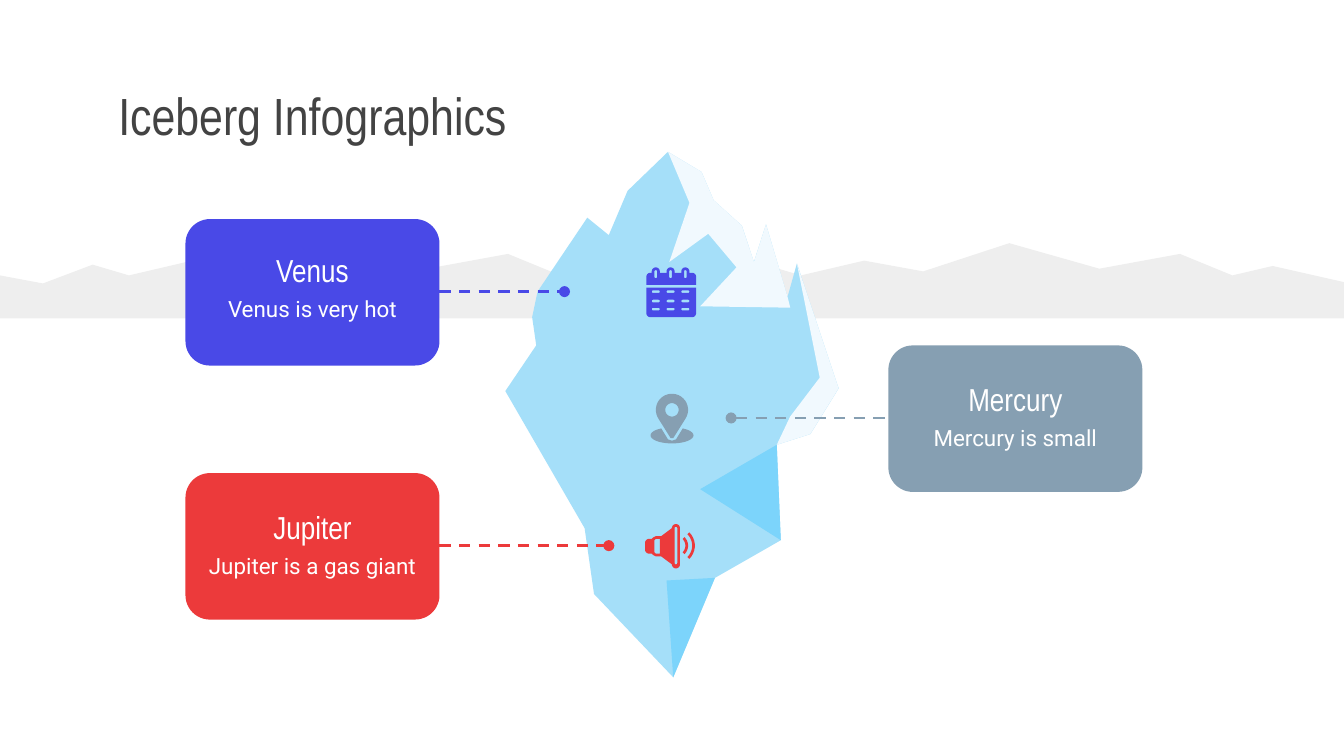
from dataclasses import dataclass
from math import cos, radians, sin

from lxml import etree
from pptx import Presentation
from pptx import util as u
from pptx.dml.color import RGBColor
from pptx.enum import dml, shapes, text
from pptx.oxml.ns import qn

PX = 9144  # EMU per px, 100 px to the inch


@dataclass(frozen=True)
class Theme:
    title: str = "434343"
    light: str = "FFFFFF"
    mountain: str = "EEEEEE"
    ice: str = "A5DFF9"
    snow: str = "F1F9FE"
    facet: str = "7CD4FB"
    venus: str = "4949E7"
    mercury: str = "869FB2"
    jupiter: str = "EC3A3B"
    heading_font: str = "Arial Narrow"
    body_font: str = "Roboto"
    title_size: int = 28
    heading_size: int = 17
    body_size: int = 12
    line_width: float = 1.5


@dataclass(frozen=True)
class Box:
    left: int
    top: int
    width: int
    height: int

    def inner(self, left, top, width, height):
        return Box(self.left + left, self.top + top, width, height)

    def emu(self):
        return [u.Emu(value * PX) for value in (self.left, self.top, self.width, self.height)]


THEME = Theme()


def write_text(shape, words, *, font, size, color, align):
    frame = shape.text_frame
    frame.word_wrap = True
    frame.auto_size = text.MSO_AUTO_SIZE.NONE
    frame.vertical_anchor = text.MSO_ANCHOR.MIDDLE
    frame.margin_left = frame.margin_right = u.Inches(0.1)
    frame.margin_top = frame.margin_bottom = u.Inches(0.1)
    paragraph = frame.paragraphs[0]
    paragraph.alignment = align
    run = paragraph.add_run()
    run.text = words
    run.font.name = font
    run.font.size = u.Pt(size)
    run.font.color.rgb = RGBColor.from_string(color)


def fill_shape(shape, color):
    shape.shadow.inherit = False
    shape.fill.solid()
    shape.fill.fore_color.rgb = RGBColor.from_string(color)
    shape.line.fill.background()


def draw_outline(parent, box, color, *contours):
    """Fill closed contours given relative to box; inner contours become holes."""
    placed = [
        [(round((box.left + x) * PX), round((box.top + y) * PX)) for x, y in contour]
        for contour in contours
    ]
    builder = parent.build_freeform(*placed[0][0], scale=1.0)
    builder.add_line_segments(placed[0][1:], close=True)
    for contour in placed[1:]:
        builder.move_to(*contour[0])
        builder.add_line_segments(contour[1:], close=True)
    fill_shape(builder.convert_to_shape(), color)


def arc(center_x, center_y, radius_x, radius_y, start, end):
    """Points of an arc; degrees run clockwise from the right."""
    steps = max(4, abs(end - start) // 10)
    angles = [radians(start + (end - start) * step / steps) for step in range(steps + 1)]
    return [(center_x + radius_x * cos(a), center_y + radius_y * sin(a)) for a in angles]


def pill(left, top, right, bottom, radius=1):
    corners = [(left + radius, top + radius, 180), (right - radius, top + radius, 270),
               (right - radius, bottom - radius, 0), (left + radius, bottom - radius, 90)]
    return [point for x, y, start in corners
            for point in arc(x, y, radius, radius, start, start + 90)]


def add_title(slide, box, words):
    title = slide.shapes.title
    title.left, title.top, title.width, title.height = box.emu()
    write_text(title, words, font=THEME.heading_font, size=THEME.title_size,
               color=THEME.title, align=text.PP_ALIGN.LEFT)


def add_mountains(slide, box):
    peaks = [(32, 30), (69, 16), (96, 24), (143, 13), (187, 21), (251, 0),
             (318, 19), (378, 8), (417, 24), (447, 17)]
    half = box.width // 2
    skyline = [(0, 24)] + peaks + [(x + half, y) for x, y in peaks] + [(box.width, 29)]
    draw_outline(slide.shapes, box, THEME.mountain,
                 skyline + [(box.width, box.height), (0, box.height)])


def add_iceberg(slide, box):
    parts = slide.shapes.add_group_shape().shapes
    ridge = [(210, 108), (194, 54), (185, 82), (176, 55), (155, 36), (146, 15), (121, 0)]
    body = [(91, 29), (77, 62), (61, 49), (24, 104), (20, 123), (23, 144), (0, 178),
            (59, 280), (66, 329), (125, 391), (156, 317), (205, 289), (202, 218),
            (227, 210), (248, 176), (217, 83)]
    cap = [(137, 38), (122, 82), (151, 61), (172, 86), (145, 115), (212, 116)]
    draw_outline(parts, box, THEME.ice, ridge + body)
    draw_outline(parts, box, THEME.snow, ridge + cap)
    draw_outline(parts, box, THEME.facet, [(156, 317), (120, 319), (125, 391)])
    draw_outline(parts, box, THEME.facet, [(202, 218), (145, 251), (205, 289)])
    draw_outline(parts, box, THEME.snow, [(217, 83), (234, 168), (212, 197), (202, 218),
                                          (227, 210), (248, 176)])


def add_pin_icon(slide, box, color):
    parts = slide.shapes.add_group_shape().shapes
    head = arc(16, 12, 12, 12, 145, 395) + [(17, 33), (15, 33)]
    draw_outline(parts, box, color, head, arc(16, 12, 5, 5, 0, 360))
    base = arc(16, 31, 16, 6, 240, -60) + [(19, 34), (16, 35), (13, 34)]
    draw_outline(parts, box, color, base)


def add_megaphone_icon(slide, box, color):
    parts = slide.shapes.add_group_shape().shapes
    for inner, outer in ((12, 14), (7, 9)):
        wave = arc(23, 16, outer, outer, -45, 45) + arc(23, 16, inner, inner, 45, -45)
        draw_outline(parts, box, color, wave)
    horn = (arc(23, 3, 3, 3, 180, 360) + arc(23, 30, 3, 3, 0, 180)
            + [(12, 24), (8, 24), (6, 23), (5, 22)] + arc(3, 19, 3, 3, 90, 180)
            + arc(3, 14, 3, 3, 180, 270) + [(5, 11), (6, 10), (8, 9), (12, 9)])
    handle = [(11, 11), (11, 22), (8, 22), (7, 21), (7, 12), (8, 11)]
    draw_outline(parts, box, color, horn, handle, pill(22, 2, 24, 30))


def add_calendar_icon(slide, box, color):
    parts = slide.shapes.add_group_shape().shapes
    columns = (4, 15, 26)
    page = [(0, 15), (37, 15)] + arc(34, 34, 3, 3, 0, 90) + arc(3, 34, 3, 3, 90, 180)
    days = [pill(x, y, x + 6, y + 2) for y in (17, 24, 30) for x in columns]
    draw_outline(parts, box, color, page, *days)
    header = [(0, 13)] + arc(3, 7, 3, 3, 180, 270)
    for x in columns:
        header += [(x, 4)] + arc(x + 3, 3, 3, 3, 180, 360) + [(x + 6, 4)]
    header += arc(34, 7, 3, 3, 270, 360) + [(37, 13)]
    draw_outline(parts, box, color, header, *[pill(x + 2, 2, x + 4, 8) for x in columns])


def add_pointer(parts, edge, dot, y, color):
    """Dashed line between a card edge and the dot that ends it."""
    start, end = sorted((edge, dot))
    line = parts.add_connector(shapes.MSO_CONNECTOR.STRAIGHT,
                               *[u.Emu(value * PX) for value in (start, y, end, y)])
    line.line.color.rgb = RGBColor.from_string(color)
    line.line.width = u.Pt(THEME.line_width)
    line.line.dash_style = dml.MSO_LINE.DASH
    marker = "a:headEnd" if dot == start else "a:tailEnd"
    etree.SubElement(line.line._get_or_add_ln(), qn(marker), type="oval")
    etree.SubElement(line._element.spPr, qn("a:effectLst"))


def add_card(slide, box, color, heading, body, *, dot, heading_top=20):
    parts = slide.shapes.add_group_shape().shapes
    card = parts.add_shape(shapes.MSO_SHAPE.ROUNDED_RECTANGLE, *box.emu())
    card.adjustments[0] = 0.167
    fill_shape(card, color)
    edge = box.left if dot < box.left else box.left + box.width
    add_pointer(parts, edge, dot, box.top + box.height // 2, color)
    rows = [(body, heading_top + 29, THEME.body_font, THEME.body_size),
            (heading, heading_top, THEME.heading_font, THEME.heading_size)]
    for words, top, font, size in rows:
        label = parts.add_textbox(*box.inner(2, top, box.width - 4, 40).emu())
        write_text(label, words, font=font, size=size, color=THEME.light,
                   align=text.PP_ALIGN.CENTER)


def main():
    presentation = Presentation()
    presentation.slide_width = u.Inches(10)
    presentation.slide_height = u.Inches(5.625)
    slide = presentation.slides.add_slide(presentation.slide_layouts[5])
    add_mountains(slide, Box(0, 181, 1000, 56))
    add_title(slide, Box(78, 59, 845, 53), "Iceberg Infographics")
    add_iceberg(slide, Box(376, 113, 248, 391))
    add_pin_icon(slide, Box(484, 293, 32, 37), THEME.mercury)
    add_card(slide, Box(661, 257, 189, 109), THEME.mercury,
             "Mercury", "Mercury is small", dot=544)
    add_megaphone_icon(slide, Box(480, 390, 37, 33), THEME.jupiter)
    add_card(slide, Box(138, 352, 189, 109), THEME.jupiter,
             "Jupiter", "Jupiter is a gas giant", dot=453)
    add_calendar_icon(slide, Box(481, 199, 37, 37), THEME.venus)
    add_card(slide, Box(138, 163, 189, 109), THEME.venus,
             "Venus", "Venus is very hot", dot=420, heading_top=18)
    presentation.save("out.pptx")


if __name__ == "__main__":
    main()
